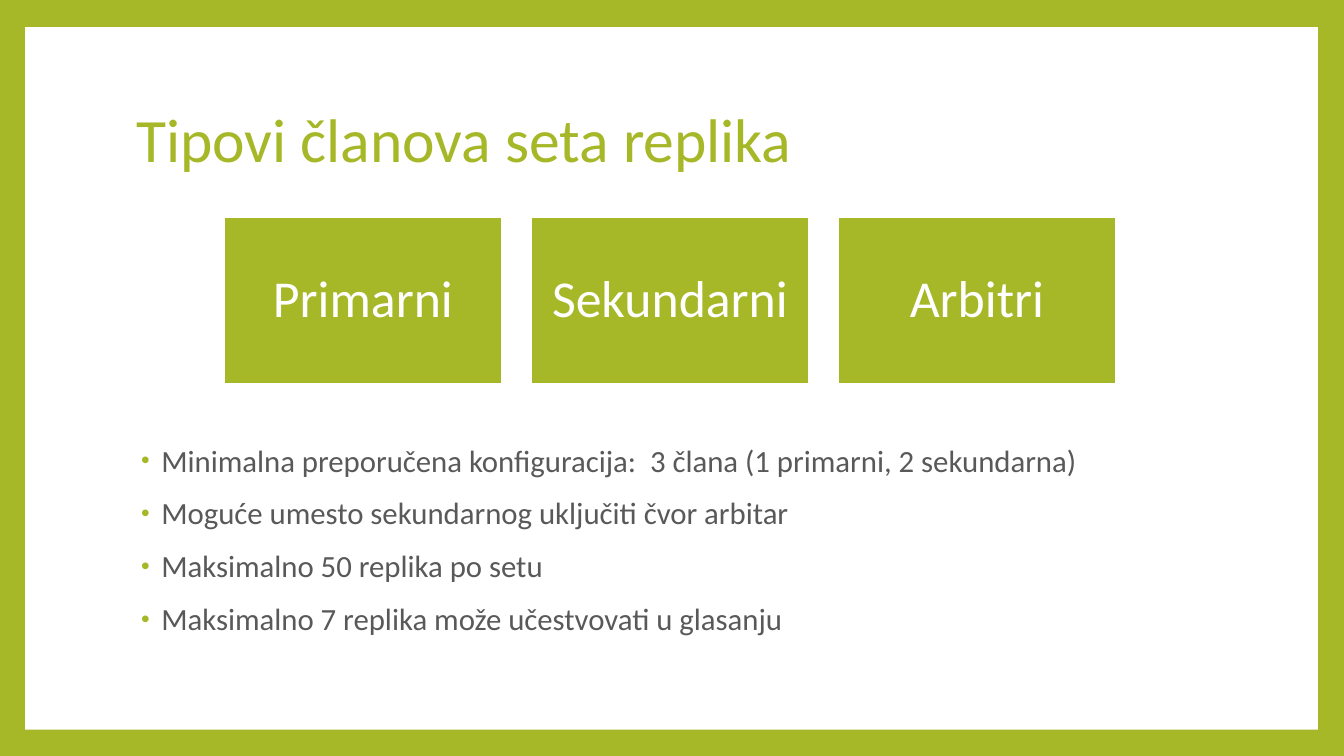
from lxml.etree import SubElement
from pptx import Presentation
from pptx.dml.color import RGBColor
from pptx.enum.shapes import MSO_SHAPE as Shape
from pptx.enum.text import MSO_ANCHOR as Anchor, MSO_AUTO_SIZE as AutoSize, PP_ALIGN as Align
from pptx.oxml.ns import qn
from pptx.util import Inches, Pt

GREEN = RGBColor(0xA6, 0xB7, 0x27)
WHITE = RGBColor(0xFF, 0xFF, 0xFF)
GREY = RGBColor(0x59, 0x59, 0x59)
FONT = "Calibri"

MEMBER_TYPES = ["Primarni", "Sekundarni", "Arbitri"]
RULES = [
    "Minimalna preporučena konfiguracija:  3 člana (1 primarni, 2 sekundarna)",
    "Moguće umesto sekundarnog uključiti čvor arbitar",
    "Maksimalno 50 replika po setu",
    "Maksimalno 7 replika može učestvovati u glasanju",
]
FIRST_LEFT, LAST_LEFT = 2.22, 8.31


def place(shape, left, top, width, height):
    shape.left, shape.top = Inches(left), Inches(top)
    shape.width, shape.height = Inches(width), Inches(height)


def format_paragraph(para, size, color, align=Align.LEFT):
    para.alignment = align
    para.line_spacing = 0.9
    para.font.name = FONT
    para.font.size = Pt(size)
    para.font.color.rgb = color


def add_bullet(para):
    props = para._p.get_or_add_pPr()
    props.set("marL", str(Inches(0.25)))
    props.set("indent", str(Inches(-0.2)))
    bullet_color = SubElement(props, qn("a:buClr"))
    SubElement(bullet_color, qn("a:srgbClr"), val=str(GREEN))
    SubElement(props, qn("a:buSzPct"), val="80000")
    SubElement(props, qn("a:buFont"), typeface="Arial")
    SubElement(props, qn("a:buChar"), char="•")


def add_box(slide, left, top, width, height, fill):
    box = slide.shapes.add_shape(
        Shape.RECTANGLE, Inches(left), Inches(top), Inches(width), Inches(height))
    box.shadow.inherit = False
    box.fill.solid()
    box.fill.fore_color.rgb = fill
    box.line.fill.background()
    return box


def add_panel(slide):
    panel = add_box(slide, 0.25, 0.27, 12.82, 6.97, WHITE)
    slide.shapes._spTree.insert(2, panel._element)


def add_member_card(slide, left, label):
    card = add_box(slide, left, 2.15, 2.76, 1.66, GREEN)
    card.line.color.rgb = WHITE
    card.line.width = Pt(1.5)
    frame = card.text_frame
    frame.text = label
    frame.word_wrap = True
    frame.vertical_anchor = Anchor.MIDDLE
    frame.margin_left = frame.margin_right = Inches(0.15)
    frame.margin_top = frame.margin_bottom = Inches(0.15)
    format_paragraph(frame.paragraphs[0], 37, WHITE, Align.CENTER)


def fill_title(title, text):
    place(title, 1.25, 0.67, 10.8, 1.48)
    frame = title.text_frame
    frame.text = text
    frame.auto_size = AutoSize.NONE
    frame.vertical_anchor = Anchor.MIDDLE
    format_paragraph(frame.paragraphs[0], 44, GREEN)


def fill_list(body, items):
    place(body, 1.25, 4.37, 10.8, 2.3)
    frame = body.text_frame
    frame.text = "\n".join(items)
    frame.auto_size = AutoSize.NONE
    frame.vertical_anchor = Anchor.TOP
    for para in frame.paragraphs:
        format_paragraph(para, 22, GREY)
        para.space_before = Pt(14)
        add_bullet(para)


def main():
    deck = Presentation()
    deck.slide_width, deck.slide_height = Inches(13.33), Inches(7.5)
    slide = deck.slides.add_slide(deck.slide_layouts[1])
    slide.background.fill.solid()
    slide.background.fill.fore_color.rgb = GREEN
    add_panel(slide)
    fill_title(slide.shapes.title, "Tipovi članova seta replika")
    fill_list(slide.placeholders[1], RULES)
    pitch = (LAST_LEFT - FIRST_LEFT) / (len(MEMBER_TYPES) - 1)
    for index, label in enumerate(MEMBER_TYPES):
        add_member_card(slide, FIRST_LEFT + index * pitch, label)
    deck.save("out.pptx")


if __name__ == "__main__":
    main()
